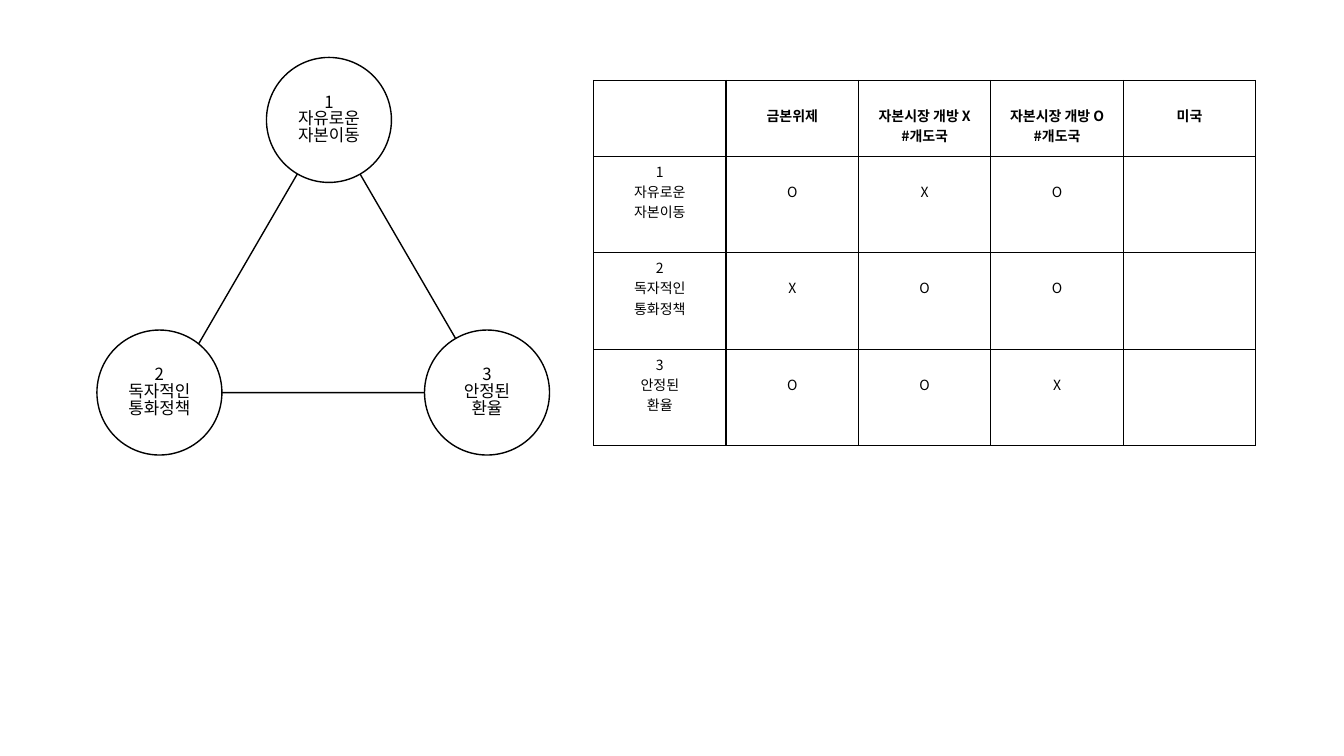
from dataclasses import dataclass

from lxml import etree
from pptx import Presentation
from pptx.dml.color import RGBColor
from pptx.enum import shapes, text
from pptx.oxml import ns
from pptx.util import Pt

BLACK = RGBColor(0, 0, 0)
WHITE = RGBColor(255, 255, 255)
FONT = "Noto Sans CJK KR"
DIAMETER = 89.3
COL_W, HEAD_H, ROW_H = 94.6, 54.2, 68.9


@dataclass
class Goal:
    label: str
    x: float  # centre of the circle
    y: float
    marks: str  # one mark per regime


GOALS = [
    Goal("1\n자유로운\n자본이동", 235, 85.7, "OXO"),
    Goal("2\n독자적인\n통화정책", 113.9, 280.4, "XOO"),
    Goal("3\n안정된\n환율", 347.9, 280.4, "OOX"),
]
REGIMES = ["금본위제", "자본시장 개방 X\n#개도국", "자본시장 개방 O\n#개도국", "미국"]


def write(tf, content: str, *, size: float, bold: bool = False,
          spacing: float = 1.0) -> None:
    """Fill a text frame with one centred paragraph per line."""
    for i, line in enumerate(content.split("\n")):
        p = tf.paragraphs[0] if i == 0 else tf.add_paragraph()
        p.alignment = text.PP_ALIGN.CENTER
        p.line_spacing = spacing
        r = p.add_run()
        r.text = line
        r.font.size, r.font.bold, r.font.name = Pt(size), bold, FONT
        r.font.color.rgb = BLACK
        etree.SubElement(r.font._element, ns.qn("a:ea"), typeface=FONT)


def add_outline(parent, kind, x: float, y: float, w: float, h: float):
    """Add a preset shape with a thin black line and no fill."""
    sp = parent.add_shape(kind, Pt(x), Pt(y), Pt(w), Pt(h))
    sp.shadow.inherit = False
    sp.fill.background()
    sp.line.color.rgb = BLACK
    sp.line.width = Pt(1)
    return sp


def add_trilemma(s) -> None:
    group = s.shapes.add_group_shape().shapes
    top, left, right = GOALS
    add_outline(group, shapes.MSO_SHAPE.ISOSCELES_TRIANGLE,
                121.7, top.y, 226.2, left.y - top.y)
    for goal in GOALS:
        sp = add_outline(group, shapes.MSO_SHAPE.OVAL, goal.x - DIAMETER / 2,
                         goal.y - DIAMETER / 2, DIAMETER, DIAMETER)
        sp.fill.solid()
        sp.fill.fore_color.rgb = WHITE
        tf = sp.text_frame
        tf.word_wrap = True
        tf.vertical_anchor = text.MSO_ANCHOR.MIDDLE
        write(tf, goal.label, size=12, spacing=0.83)


def add_borders(cell) -> None:
    tc_pr = cell._tc.get_or_add_tcPr()
    for side in ("lnL", "lnR", "lnT", "lnB"):
        ln = etree.SubElement(tc_pr, ns.qn(f"a:{side}"), w=str(Pt(1)))
        fill = etree.SubElement(ln, ns.qn("a:solidFill"))
        etree.SubElement(fill, ns.qn("a:srgbClr"), val=str(BLACK))


def add_regime_table(s) -> None:
    rows = [["", *REGIMES]] + [[g.label, *g.marks, ""] for g in GOALS]
    cols = len(rows[0])
    table = s.shapes.add_table(
        len(rows), cols, Pt(424), Pt(57.4), Pt(COL_W * cols),
        Pt(HEAD_H + ROW_H * len(GOALS))).table
    for col in table.columns:
        col.width = Pt(COL_W)
    for i, values in enumerate(rows):
        table.rows[i].height = Pt(ROW_H if i else HEAD_H)
        for j, value in enumerate(values):
            cell = table.cell(i, j)
            add_borders(cell)
            cell.fill.background()
            if value:
                cell.margin_top = Pt(18 if j else 3.6)
                write(cell.text_frame, value, size=10, bold=i == 0)


def main() -> None:
    prs = Presentation()
    prs.slide_width, prs.slide_height = Pt(960), Pt(540)
    s = prs.slides.add_slide(prs.slide_layouts[6])
    add_trilemma(s)
    add_regime_table(s)
    prs.save("out.pptx")


if __name__ == "__main__":
    main()
